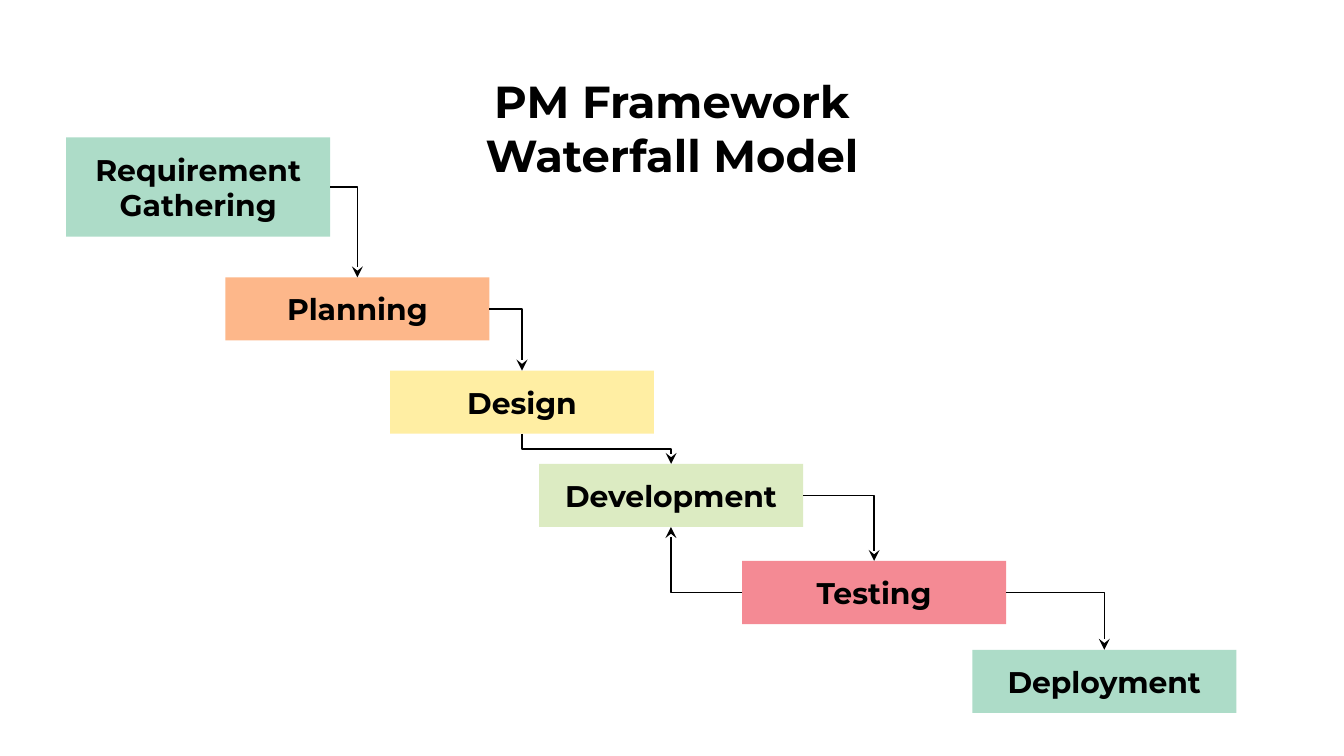
from dataclasses import dataclass

from lxml.etree import SubElement
from pptx import Presentation
from pptx.dml.color import RGBColor
from pptx.enum.shapes import MSO_CONNECTOR, MSO_SHAPE
from pptx.enum.text import MSO_ANCHOR, MSO_AUTO_SIZE, PP_ALIGN
from pptx.oxml.ns import qn
from pptx.shapes.autoshape import Shape
from pptx.shapes.connector import Connector
from pptx.slide import Slide
from pptx.util import Inches, Pt

SLIDE_WIDTH = Inches(10)
SLIDE_HEIGHT = SLIDE_WIDTH * 9 // 16
CELL = SLIDE_WIDTH // 100  # square grid, 100 columns across the slide
STEP_COLUMNS = 19.64
STEP_ROWS = 4.7

# Connection sites of a rectangle
TOP, LEFT, BOTTOM, RIGHT = range(4)


@dataclass(frozen=True)
class Theme:
    font: str = "Montserrat"
    ink: RGBColor = RGBColor(0x00, 0x00, 0x00)
    mint: RGBColor = RGBColor(0xAD, 0xDC, 0xC8)
    orange: RGBColor = RGBColor(0xFD, 0xB7, 0x8A)
    yellow: RGBColor = RGBColor(0xFF, 0xEE, 0xA3)
    lime: RGBColor = RGBColor(0xDC, 0xEB, 0xC2)
    rose: RGBColor = RGBColor(0xF4, 0x8A, 0x94)
    title_size: Pt = Pt(24)
    step_size: Pt = Pt(16)
    line_width: Pt = Pt(0.75)


THEME = Theme()


@dataclass(frozen=True)
class Step:
    label: str
    column: float
    row: float
    fill: RGBColor
    rows: float = STEP_ROWS


@dataclass(frozen=True)
class Link:
    source: str
    target: str
    start: int = RIGHT
    end: int = TOP


STEPS = [
    Step("Requirement Gathering", 4.93, 10.22, THEME.mint, rows=7.4),
    Step("Planning", 16.77, 20.64, THEME.orange),
    Step("Design", 29.02, 27.58, THEME.yellow),
    Step("Development", 40.11, 34.52, THEME.lime),
    Step("Testing", 55.22, 41.74, THEME.rose),
    Step("Deployment", 72.35, 48.35, THEME.mint),
]

LINKS = [
    Link("Requirement Gathering", "Planning"),
    Link("Planning", "Design"),
    Link("Design", "Development", start=BOTTOM),
    Link("Development", "Testing"),
    Link("Testing", "Development", start=LEFT, end=BOTTOM),
    Link("Testing", "Deployment"),
]


def place(shape: Shape, column: float, row: float, columns: float, rows: float) -> None:
    shape.left, shape.top = round(column * CELL), round(row * CELL)
    shape.width, shape.height = round(columns * CELL), round(rows * CELL)


def write(shape: Shape, text: str, size: Pt, anchor: MSO_ANCHOR) -> None:
    frame = shape.text_frame
    frame.text = text
    frame.word_wrap = True
    frame.auto_size = MSO_AUTO_SIZE.NONE
    frame.vertical_anchor = anchor
    frame.margin_left = frame.margin_right = CELL
    frame.margin_top = frame.margin_bottom = CELL
    paragraph = frame.paragraphs[0]
    paragraph.alignment = PP_ALIGN.CENTER
    paragraph.line_spacing = 1.0
    font = paragraph.font
    font.name, font.size, font.bold = THEME.font, size, True
    font.color.rgb = THEME.ink


def add_step(slide: Slide, step: Step) -> Shape:
    shape = slide.shapes.add_shape(MSO_SHAPE.RECTANGLE, 0, 0, CELL, CELL)
    place(shape, step.column, step.row, STEP_COLUMNS, step.rows)
    shape.shadow.inherit = False
    shape.fill.solid()
    shape.fill.fore_color.rgb = step.fill
    shape.line.fill.background()
    write(shape, step.label, THEME.step_size, MSO_ANCHOR.MIDDLE)
    return shape


def turn_downward(connector: Connector) -> None:
    """Make an elbow leave and arrive vertically, keeping both of its ends."""
    width, height = connector.width, connector.height
    connector.left += (width - height) // 2
    connector.top += (height - width) // 2
    connector.width, connector.height = height, width
    transform = connector._element.spPr.find(qn("a:xfrm"))
    transform.set("rot", str(270 * 60000))
    transform.set("flipH", "1")


def add_link(slide: Slide, link: Link, boxes: dict[str, Shape]) -> None:
    connector = slide.shapes.add_connector(MSO_CONNECTOR.ELBOW, 0, 0, 0, 0)
    connector.begin_connect(boxes[link.source], link.start)
    connector.end_connect(boxes[link.target], link.end)
    properties = connector._element.spPr
    if link.start == BOTTOM:
        turn_downward(connector)
    else:
        properties.find(qn("a:prstGeom")).set("prst", "bentConnector2")
    connector.line.color.rgb = THEME.ink
    connector.line.width = THEME.line_width
    line = properties.find(qn("a:ln"))
    SubElement(line, qn("a:tailEnd"), type="stealth", w="med", len="med")
    SubElement(properties, qn("a:effectLst"))


def main() -> None:
    presentation = Presentation()
    presentation.slide_width, presentation.slide_height = SLIDE_WIDTH, SLIDE_HEIGHT
    slide = presentation.slides.add_slide(presentation.slide_layouts[5])
    title = slide.shapes.title
    place(title, 4.93, 4.5, 90.14, 6.1)
    write(title, "PM Framework\vWaterfall Model", THEME.title_size, MSO_ANCHOR.TOP)
    boxes = {step.label: add_step(slide, step) for step in STEPS}
    for link in LINKS:
        add_link(slide, link, boxes)
    presentation.save("out.pptx")


if __name__ == "__main__":
    main()
